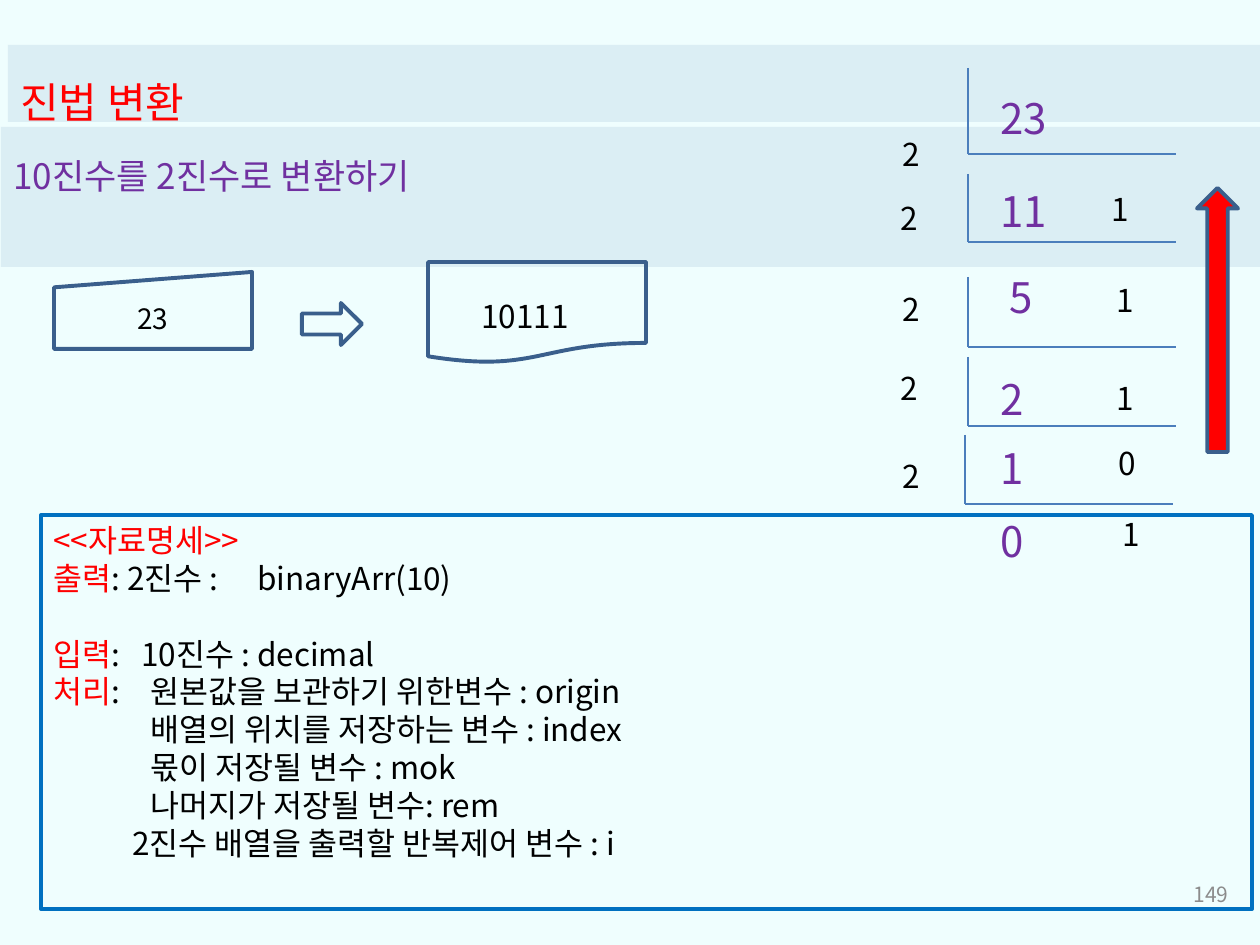
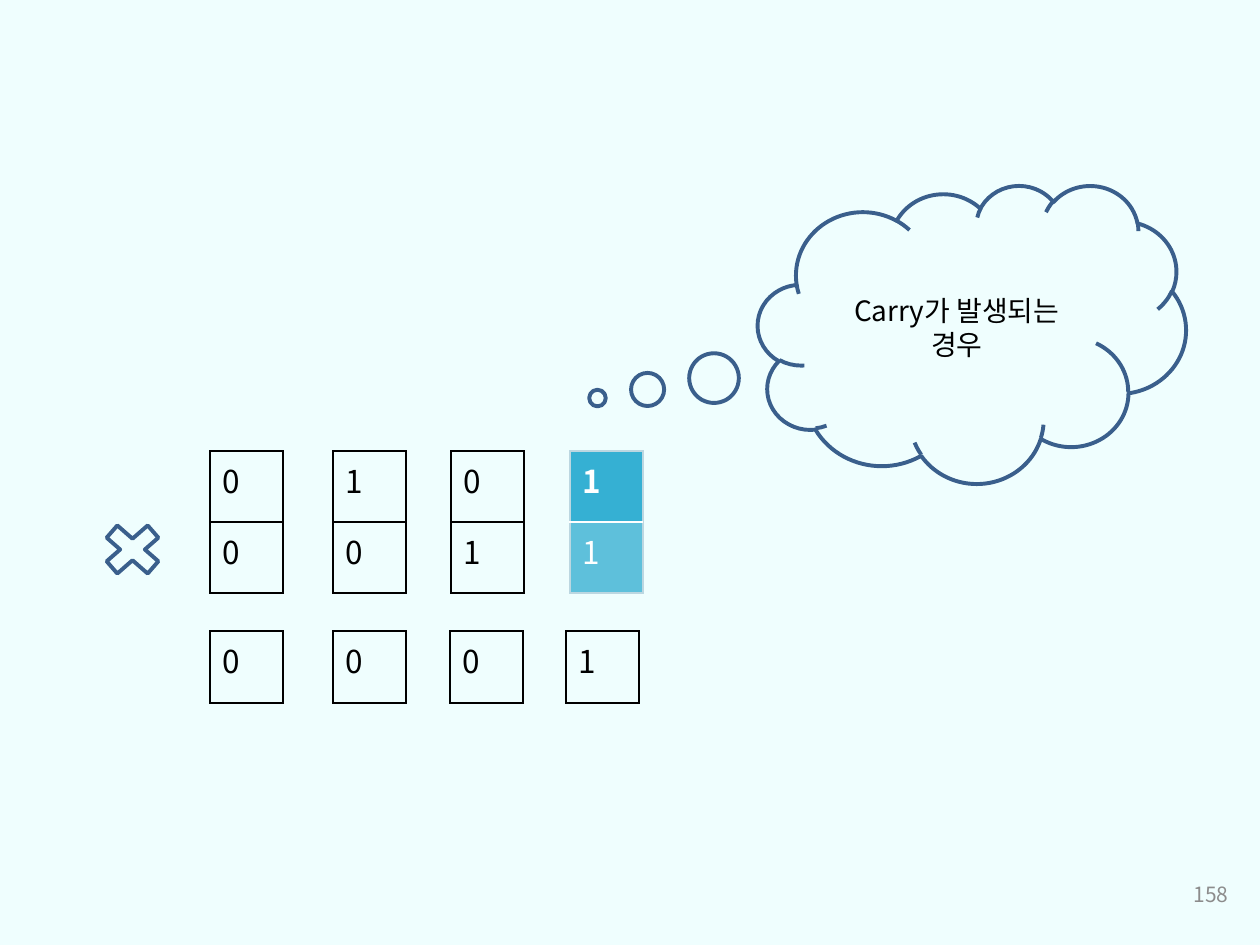
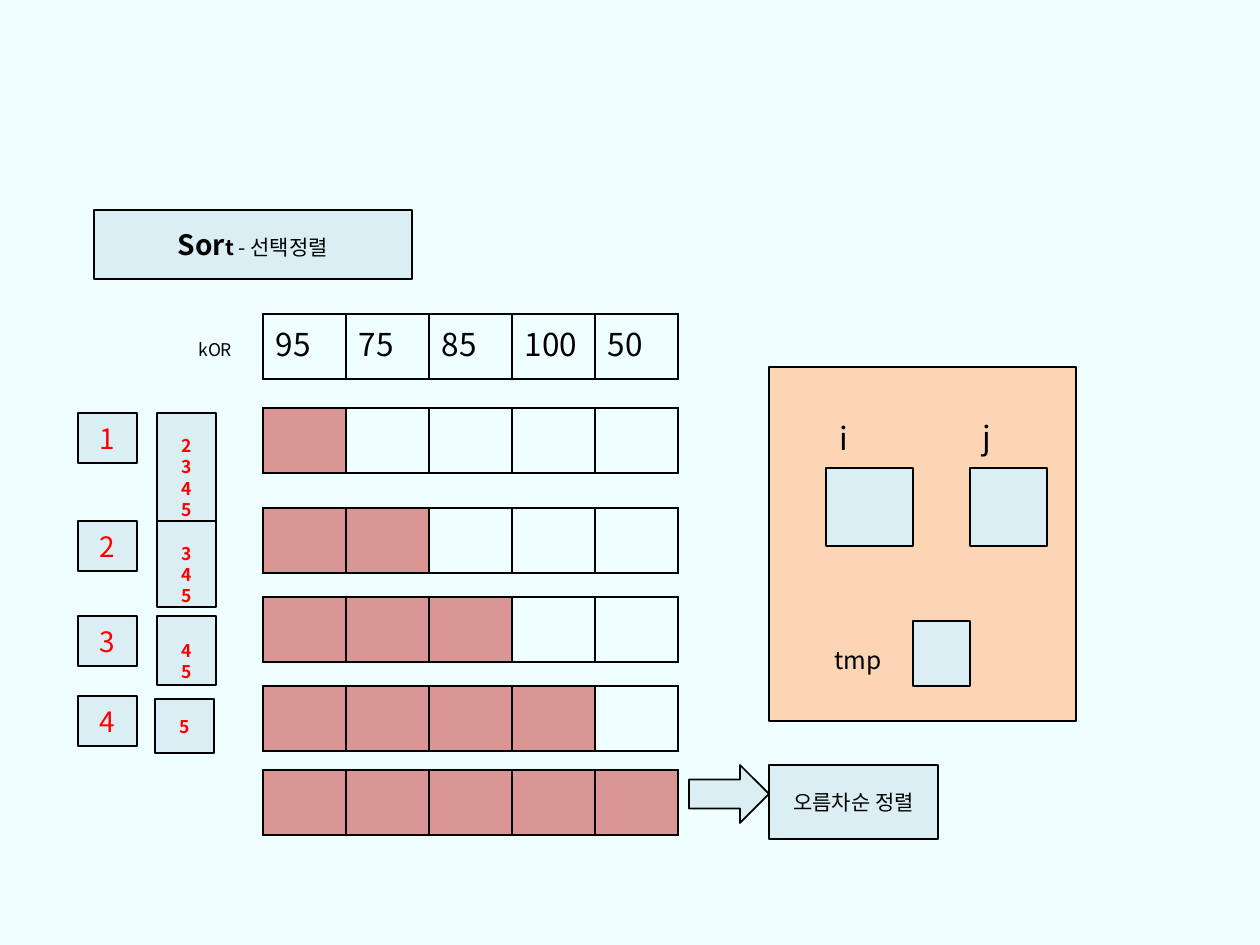
"""Builds three lecture slides on base conversion, carry and selection sort."""
from dataclasses import dataclass

from lxml.etree import SubElement
from pptx import Presentation
from pptx.dml.color import RGBColor
from pptx.enum.shapes import MSO_CONNECTOR, MSO_SHAPE as Preset
from pptx.enum.text import MSO_ANCHOR as Anchor, PP_ALIGN as Align
from pptx.oxml import parse_xml
from pptx.oxml.ns import nsdecls, qn
from pptx.util import Emu, Pt


@dataclass(frozen=True)
class Theme:
    font: str = "Noto Sans CJK KR"
    page: str = "EFFEFE"
    band: str = "DBEEF4"
    ink: str = "000000"
    red: str = "FF0000"
    purple: str = "7030A0"
    outline: str = "3A5F8C"
    bracket: str = "4B7EBC"
    frame: str = "0070C0"
    sorted_cell: str = "D99694"
    panel: str = "FCD5B5"
    number: str = "8C8C8C"
    carry_fills: tuple = ("35B0D3", "5EC0DB")
    carry_edge: str = "BCD7E1"
    white: str = "FFFFFF"
    title: int = 24
    subtitle: int = 20
    body: int = 18
    label: int = 16
    note: int = 14
    small: int = 12
    tiny: int = 10
    thick: float = 2.25
    thin: float = 1
    hairline: float = 0.75


THEME = Theme()
PAGE = (1260, 945)

BANDS = [
    ("진법 변환", (8, 45, 1257, 77), THEME.title, THEME.red),
    ("10진수를 2진수로 변환하기", (1, 127, 1260, 140), THEME.subtitle, THEME.purple),
]
SPEC_BOX = (41, 515, 1211, 394)
SPEC = [
    {"label": "<<자료명세>>"},
    {"label": "출력", "detail": ": 2진수 :\tbinaryArr(10)", "tab": 204},
    {"label": "입력", "detail": ":\t10진수 : decimal", "tab": 88, "gap": 21.6},
    {"label": "처리", "detail": ":\t원본값을 보관하기 위한변수 : origin", "tab": 97},
    {"detail": "배열의 위치를 저장하는 변수 : index", "indent": 97},
    {"detail": "몫이 저장될 변수 : mok", "indent": 97},
    {"detail": "나머지가 저장될 변수: rem", "indent": 97},
    {"detail": "2진수 배열을 출력할 반복제어 변수 : i", "indent": 79},
]
QUOTIENTS = [("23", 988, 86), ("11", 988, 179), ("5", 997, 265),
             ("2", 988, 367), ("1", 988, 436), ("0", 988, 509)]
DIVISORS = [("2", 890, 129), ("2", 888, 193), ("2", 890, 284),
            ("2", 888, 363), ("2", 890, 451)]
REMAINDERS = [("1", 1099, 184), ("1", 1104, 275), ("1", 1104, 373),
              ("0", 1106, 438), ("1", 1110, 509)]
BRACKETS = [(968, 68, 154), (968, 174, 242), (968, 277, 347),
            (968, 357, 426), (965, 435, 504)]
BRACKET_WIDTH = 208

OPERANDS = [(210, "00"), (333, "10"), (451, "01")]
CARRY = (570, "11")
PRODUCT = [(210, "0"), (333, "0"), (450, "0"), (566, "1")]
OPERAND_TOP, PRODUCT_TOP = 451, 631
BIT_WIDTH, BIT_HEIGHT = 73, 71

SCORES = ["95", "75", "85", "100", "50"]
SCORE_LEFT, SCORE_TOP, SCORE_WIDTH, SCORE_HEIGHT = 263, 314, 83, 65
PASS_TOPS = [408, 508, 597, 686, 770]
OUTER_STEPS = [("1", 413), ("2", 521), ("3", 616), ("4", 696)]
INNER_STEPS = [("2345", 157, 413, 108), ("345", 157, 521, 86),
               ("45", 157, 616, 69), ("5", 155, 699, 54)]
STEP_WIDTH, STEP_HEIGHT = 59, 50
VARIABLES = [
    ("i", (827, 413, 57, 50), THEME.body, (826, 468, 87, 78)),
    ("j", (970, 412, 57, 50), THEME.body, (970, 468, 77, 78)),
    ("tmp", (822, 639, 92, 43), THEME.note, (913, 621, 57, 65)),
]


def px(length):
    return Emu(round(length * 914400 / 126))


def place(box):
    return [px(length) for length in box]


def rgb(code):
    return RGBColor.from_string(code)


def assign(target, values):
    for key, value in values.items():
        setattr(target, key, value)


def write(frame, paragraphs, size=THEME.body, color=THEME.ink, bold=False,
          align=Align.LEFT, spacing=None):
    """Fill a frame; a paragraph is a string or a list of (text, font overrides)."""
    frame.word_wrap = True
    for index, content in enumerate(paragraphs):
        paragraph = frame.paragraphs[0] if index == 0 else frame.add_paragraph()
        assign(paragraph, {"alignment": align, "line_spacing": spacing})
        for text, changes in [(content, {})] if isinstance(content, str) else content:
            look = {"size": size, "color": color, "bold": bold, **changes}
            run = paragraph.add_run()
            run.text = text
            assign(run.font, {"size": Pt(look["size"]), "bold": look["bold"],
                              "name": THEME.font})
            run.font.color.rgb = rgb(look["color"])
            SubElement(run.font._element, qn("a:ea"), typeface=THEME.font)


def label(slide, text, box, **look):
    frame = slide.shapes.add_textbox(*place(box)).text_frame
    write(frame, [text], **look)
    return frame


def shape(slide, preset, box, fill=None, line=None, width=THEME.thin,
          paragraphs=(), anchor=Anchor.MIDDLE, align=Align.CENTER, **look):
    item = slide.shapes.add_shape(preset, *place(box))
    item.shadow.inherit = False
    if fill:
        item.fill.solid()
        item.fill.fore_color.rgb = rgb(fill)
    else:
        item.fill.background()
    if line:
        item.line.color.rgb = rgb(line)
        item.line.width = Pt(width)
    else:
        item.line.fill.background()
    item.text_frame.vertical_anchor = anchor
    write(item.text_frame, paragraphs, align=align, **look)
    return item


def outlined(slide, preset, box, **look):
    return shape(slide, preset, box, line=THEME.outline, width=THEME.thick, **look)


def boxed(slide, preset, box, **look):
    return shape(slide, preset, box, **{"fill": THEME.band, "line": THEME.ink, **look})


def connect(slide, start, end):
    line = slide.shapes.add_connector(MSO_CONNECTOR.STRAIGHT, *place(start + end))
    line.line.color.rgb = rgb(THEME.bracket)
    line.line.width = Pt(THEME.hairline)
    SubElement(line._element.spPr, qn("a:effectLst"))


def edge(cell, edges):
    properties = cell._tc.get_or_add_tcPr()
    for index, (side, (color, width)) in enumerate(edges.items()):
        properties.insert(index, parse_xml(
            f'<a:ln{side} {nsdecls("a")} w="{Pt(width)}"><a:solidFill>'
            f'<a:srgbClr val="{color}"/></a:solidFill></a:ln{side}>'))


def grid(slide, corner, cell_size, rows, fills=None, edges=None, looks=None):
    """Add a table of equal cells; fills, edges and looks map (row, column)."""
    width, height = cell_size
    box = (*corner, width * len(rows[0]), height * len(rows))
    table = slide.shapes.add_table(len(rows), len(rows[0]), *place(box)).table
    assign(table, {"first_row": False, "horz_banding": False})
    plain = dict.fromkeys("LRTB", (THEME.ink, THEME.thin))
    for row, values in enumerate(rows):
        for column, value in enumerate(values):
            cell, spot = table.cell(row, column), (row, column)
            fill = (fills or {}).get(spot)
            if fill:
                cell.fill.solid()
                cell.fill.fore_color.rgb = rgb(fill)
            else:
                cell.fill.background()
            edge(cell, (edges or {}).get(spot, plain))
            if value:
                write(cell.text_frame, [value], **(looks or {}).get(spot, {}))


def new_slide(deck, number=None):
    slide = deck.slides.add_slide(deck.slide_layouts[6])
    slide.background.fill.solid()
    slide.background.fill.fore_color.rgb = rgb(THEME.page)
    if number:
        frame = label(slide, number, (948, 869, 293, 50), size=THEME.small,
                      color=THEME.number, align=Align.RIGHT)
        frame.vertical_anchor = Anchor.MIDDLE
    return slide


def specification(slide):
    paragraphs = []
    for entry in SPEC:
        runs = [(entry["label"], {"color": THEME.red})] if "label" in entry else []
        if "detail" in entry:
            runs.append((entry["detail"], {}))
        paragraphs.append(runs)
    item = shape(slide, Preset.RECTANGLE, SPEC_BOX, line=THEME.frame,
                 width=THEME.thick, paragraphs=paragraphs, anchor=Anchor.TOP,
                 align=Align.LEFT)
    for entry, paragraph in zip(SPEC, item.text_frame.paragraphs):
        properties = paragraph._p.get_or_add_pPr()
        if "indent" in entry:
            properties.set("marL", str(px(entry["indent"])))
        if "tab" in entry:
            stops = SubElement(properties, qn("a:tabLst"))
            SubElement(stops, qn("a:tab"), pos=str(px(entry["tab"])), algn="l")
        if "gap" in entry:
            paragraph.space_before = Pt(entry["gap"])


def conversion_slide(deck):
    slide = new_slide(deck, "149")
    for text, box, size, color in BANDS:
        shape(slide, Preset.RECTANGLE, box, fill=THEME.band, paragraphs=[text],
              anchor=Anchor.TOP, align=Align.LEFT, size=size, color=color, spacing=1.5)
    specification(slide)
    outlined(slide, Preset.RIGHT_ARROW, (302, 303, 60, 42))
    label(slide, "10111", (469, 291, 183, 50))
    outlined(slide, Preset.FLOWCHART_DOCUMENT, (428, 262, 218, 101))
    outlined(slide, Preset.FLOWCHART_MANUAL_INPUT, (54, 272, 198, 77),
             paragraphs=["23"], size=THEME.label)
    for left, top, bottom in BRACKETS:
        connect(slide, (left, top), (left, bottom))
        connect(slide, (left + BRACKET_WIDTH, bottom), (left, bottom))
    for text, left, top in QUOTIENTS:
        label(slide, text, (left, top, 89, 63), size=THEME.title, color=THEME.purple)
    for text, left, top in DIVISORS + REMAINDERS:
        label(slide, text, (left, top, 89, 50))
    outlined(slide, Preset.UP_ARROW, (1197, 188, 41, 264), fill=THEME.red)


def carry_slide(deck):
    slide = new_slide(deck, "158")
    bit = (BIT_WIDTH, BIT_HEIGHT)
    for left, bits in OPERANDS:
        grid(slide, (left, OPERAND_TOP), bit, list(bits))
    left, bits = CARRY
    pale = (THEME.carry_edge, THEME.hairline)
    grid(slide, (left, OPERAND_TOP), bit, list(bits),
         fills={(row, 0): fill for row, fill in enumerate(THEME.carry_fills)},
         edges={(0, 0): dict.fromkeys("LRT", pale),
                (1, 0): dict.fromkeys("LRB", pale)},
         looks={(row, 0): {"color": THEME.white, "bold": row == 0} for row in range(2)})
    cloud = outlined(slide, Preset.CLOUD_CALLOUT, (758, 185, 428, 298),
                     paragraphs=["Carry가 발생되는", "경우"], size=THEME.label)
    for index, offset in enumerate((-0.875, 0.215)):
        cloud.adjustments[index] = offset
    outlined(slide, Preset.MATH_MULTIPLY, (93, 515, 79, 69))
    for left, value in PRODUCT:
        grid(slide, (left, PRODUCT_TOP), (BIT_WIDTH, BIT_HEIGHT + 1), [value])


def sort_slide(deck):
    slide = new_slide(deck)
    boxed(slide, Preset.RECTANGLE, (769, 367, 307, 354), fill=THEME.panel)
    heading = [("Sor", {"size": THEME.label, "bold": True}), ("t", {"bold": True}),
               (" - 선택정렬", {})]
    boxed(slide, Preset.RECTANGLE, (94, 210, 318, 69), paragraphs=[heading],
          size=THEME.small)
    score = (SCORE_WIDTH, SCORE_HEIGHT)
    grid(slide, (SCORE_LEFT, SCORE_TOP), score, [SCORES])
    label(slide, "kOR", (186, 333, 69, 34), size=THEME.tiny)
    for done, top in enumerate(PASS_TOPS, start=1):
        grid(slide, (SCORE_LEFT, top), score, [[""] * len(SCORES)],
             fills={(0, column): THEME.sorted_cell for column in range(done)})
    for digits, left, top, height in INNER_STEPS:
        step = boxed(slide, Preset.RECTANGLE, (left, top, STEP_WIDTH, height),
                     paragraphs=list(digits), size=THEME.tiny, color=THEME.red, bold=True)
        if len(digits) > 1:
            assign(step.text_frame, {"margin_top": px(21), "margin_bottom": 0})
    for digit, top in OUTER_STEPS:
        boxed(slide, Preset.RECTANGLE, (78, top, STEP_WIDTH, STEP_HEIGHT),
              paragraphs=[digit], size=THEME.label, color=THEME.red)
    boxed(slide, Preset.RIGHT_ARROW, (689, 765, 80, 58))
    boxed(slide, Preset.RECTANGLE, (769, 765, 169, 74), paragraphs=["오름차순 정렬"],
          size=THEME.small)
    for name, name_box, size, value_box in VARIABLES:
        boxed(slide, Preset.RECTANGLE, value_box)
        label(slide, name, name_box, size=size)


def main():
    deck = Presentation()
    deck.slide_width, deck.slide_height = place(PAGE)
    for build in (conversion_slide, carry_slide, sort_slide):
        build(deck)
    deck.save("out.pptx")


if __name__ == "__main__":
    main()
